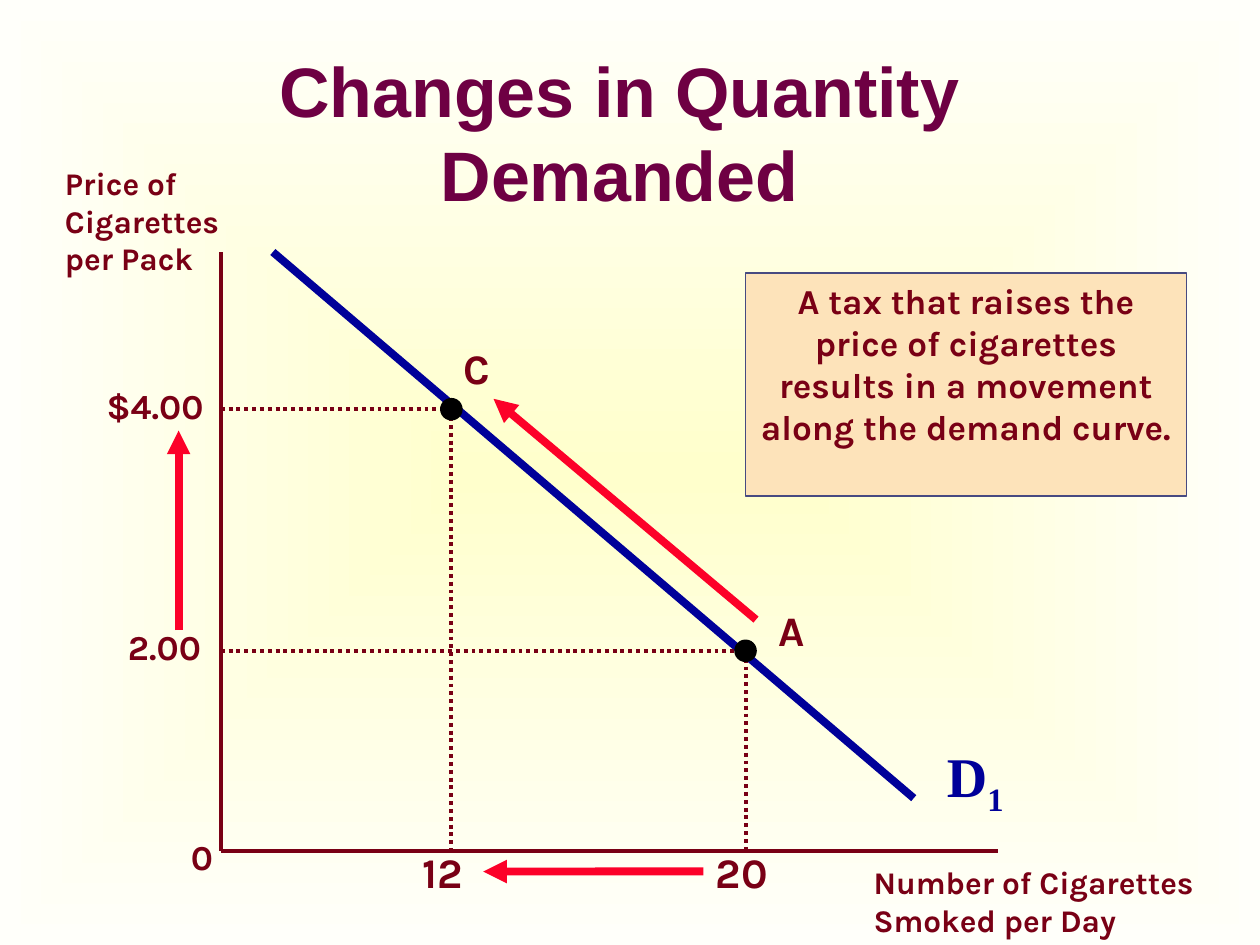
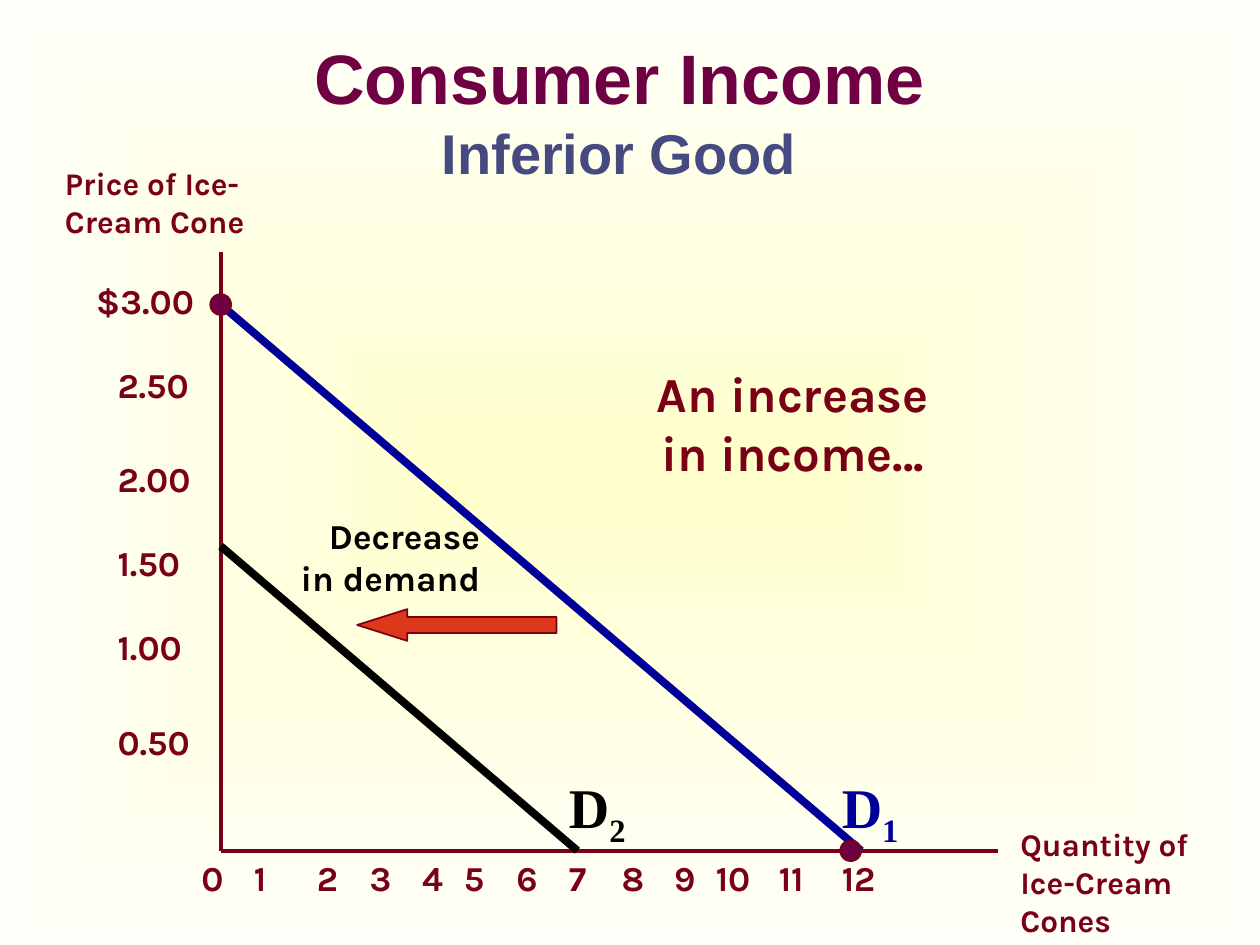
from pptx import Presentation
from pptx.dml.color import RGBColor as RGB
from pptx.enum.dml import MSO_LINE_DASH_STYLE as DASH
from pptx.enum.shapes import MSO_CONNECTOR as CONN, MSO_SHAPE as SHAPE
from pptx.enum.text import MSO_ANCHOR as ANCHOR, PP_ALIGN as ALIGN
from pptx.oxml import parse_xml
from pptx.oxml.ns import nsdecls, qn
from pptx.util import Cm, Pt

COLORS = {
    "title": "6E0043", "subtitle": "474A81", "maroon": "790015",
    "curve": "000099", "black": "000000", "red": "FC0128",
    "arrow": "DE381C", "note": "FDE3BA",
    "center": "FFFFCC", "edge": "FFFFFA",
}
C = {name: RGB.from_string(value) for name, value in COLORS.items()}

# Shared chart frame, in cm
LEFT, RIGHT, TOP, BASE = 4.45, 20.11, 5.08, 17.15
DOT = 0.42


def add_text(s, text, x, y, w, h, size=20, color="maroon", font="Karla",
             align=ALIGN.LEFT):
    """Add a bold text box; each line of text becomes a paragraph."""
    sp = s.shapes.add_textbox(Cm(x), Cm(y), Cm(w), Cm(h))
    tf = sp.text_frame
    tf.word_wrap = True
    for i, line in enumerate(text.split("\n")):
        p = tf.add_paragraph() if i else tf.paragraphs[0]
        p.alignment = align
        r = p.add_run()
        r.text = line
        r.font.name, r.font.size, r.font.bold = font, Pt(size), True
        r.font.color.rgb = C[color]
    return sp


def add_line(s, x1, y1, x2, y2, color="maroon", width=2.25, dash=None, arrow=False):
    line = s.shapes.add_connector(CONN.STRAIGHT, Cm(x1), Cm(y1), Cm(x2), Cm(y2))
    line.line.color.rgb = C[color]
    line.line.width = Pt(width)
    if dash:
        line.line.dash_style = dash
    if arrow:
        line.line._get_or_add_ln().append(
            parse_xml(f'<a:tailEnd {nsdecls("a")} type="triangle"/>'))
    line._element.spPr.append(parse_xml(f'<a:effectLst {nsdecls("a")}/>'))
    return line


prs = Presentation()
prs.slide_width, prs.slide_height = Cm(25.4), Cm(19.05)

# Background, title and axes of both slides
slides = []
for title, title_y, y_name, x_name, x_name_box in [
    ("Changes in Quantity Demanded", 1.06, "Price of Cigarettes per Pack",
     "Number of Cigarettes Smoked per Day", (17.36, 17.27, 8.04, 1.78)),
    ("Consumer Income\nInferior Good", 0.64, "Price of Ice-Cream Cone",
     "Quantity of Ice-Cream Cones", (20.32, 16.51, 4.23, 2.54)),
]:
    s = prs.slides.add_slide(prs.slide_layouts[6])
    slides.append(s)
    fill = s.background.fill
    fill.gradient()
    for stop, name in zip(fill.gradient_stops, ("center", "edge")):
        stop.color.rgb = C[name]
    grad = s._element.find(".//" + qn("a:gradFill"))
    grad.remove(grad.find(qn("a:lin")))
    grad.append(parse_xml(
        f'<a:path {nsdecls("a")} path="rect">'
        '<a:fillToRect l="50000" t="50000" r="50000" b="50000"/></a:path>'))

    heading = add_text(s, title, 1.69, title_y, 21.59, 3.18, 40, "title", "Arial",
                       ALIGN.CENTER)
    heading.text_frame.vertical_anchor = ANCHOR.MIDDLE
    for p in heading.text_frame.paragraphs[1:]:
        p.runs[0].font.size = Pt(32)
        p.runs[0].font.color.rgb = C["subtitle"]

    add_line(s, LEFT, TOP, LEFT, BASE)
    add_line(s, LEFT, BASE, RIGHT, BASE)
    add_text(s, y_name, 1.06, 3.18, 4.23, 2.54, 18)
    add_text(s, x_name, *x_name_box, 18)

tax, income = slides

# Demand curves and their names
for s, ends, number, label_x, label_y, color in [
    (tax, (5.5, TOP, 18.42, 16.09), "1", 18.84, 14.82, "curve"),
    (income, (LEFT, 6.14, 17.36, BASE), "1", 16.72, 15.45, "curve"),
    (income, (LEFT, 11.01, 11.64, BASE), "2", 11.22, 15.45, "black"),
]:
    add_line(s, *ends, color, 4.5)
    sp = add_text(s, "D", label_x, label_y, 2.12, 1.8, 32, color, "Times New Roman")
    r = sp.text_frame.paragraphs[0].add_run()
    r.text = number
    r.font.name, r.font.size, r.font.bold = "Times New Roman", Pt(32), True
    r.font.color.rgb = C[color]
    r._r.get_or_add_rPr().set("baseline", "-25000")

# Dotted guides from points C and A to the axes
point_c, point_a = (9.1, 8.25), (15.03, 13.12)
for x, y in (point_c, point_a):
    add_line(tax, LEFT, y, x, y, dash=DASH.ROUND_DOT)
    add_line(tax, x, y, x, BASE, dash=DASH.ROUND_DOT)

# Points on the curves
for s, (x, y), color, outline in [
    (tax, point_c, "black", "black"),
    (tax, point_a, "black", "black"),
    (income, (17.15, BASE), "title", "maroon"),
    (income, (LEFT, 6.14), "title", "maroon"),
]:
    dot = s.shapes.add_shape(SHAPE.OVAL, Cm(x - DOT / 2), Cm(y - DOT / 2),
                             Cm(DOT), Cm(DOT))
    dot.shadow.inherit = False
    dot.fill.solid()
    dot.fill.fore_color.rgb = C[color]
    dot.line.color.rgb = C[outline]
    dot.line.width = Pt(1)

# Slide 1: labels, movement arrows and note
add_text(tax, "0", 3.6, 16.72, 2.12, 1.12)
add_text(tax, "$4.00", 1.9, 7.62, 2.54, 1.12)
add_text(tax, "2.00", 2.33, 12.49, 2.54, 1.12)
add_text(tax, "C", 9.1, 6.77, 1.48, 1.27, 24)
add_text(tax, "A", 15.45, 12.06, 1.2, 1.27, 24)
add_text(tax, "12", 8.26, 16.93, 1.9, 1.27, 24)
twenty = add_text(tax, "20", 14.18, 16.93, 1.9, 1.27, 24)

add_line(tax, 15.24, 12.49, 9.95, 8.04, "red", 4.5, arrow=True)
add_line(tax, 3.6, 12.7, 3.6, 8.68, "red", 4.5, arrow=True)
quantity_fall = add_line(tax, 14.18, 17.57, 9.74, 17.57, "red", 4.5, arrow=True)
quantity_fall.begin_connect(twenty, 1)

note = add_text(
    tax, "A tax that raises the price of cigarettes results in a movement "
    "along the demand curve.", 15.03, 5.5, 8.89, 4.5, align=ALIGN.CENTER)
note.fill.solid()
note.fill.fore_color.rgb = C["note"]
note.line.color.rgb = C["subtitle"]
note.line.width = Pt(1)

# Slide 2: scales, captions and shift arrow
add_text(income, "$3.00", 1.69, 5.5, 2.54, 1.12)
for price, y in [("2.50", 7.2), ("2.00", 9.1), ("1.50", 10.8),
                 ("1.00", 12.49), ("0.50", 14.39)]:
    add_text(income, price, 2.12, y, 2.12, 1.12)

tick_lefts = [3.81, 4.87, 6.14, 7.2, 8.26, 9.1, 10.16, 11.22, 12.28, 13.34,
              14.18, 15.45, 16.72]
for quantity, x in enumerate(tick_lefts):
    add_text(income, str(quantity), x, BASE, 1.48, 1.12)

add_text(income, "An increase in income...", 12.7, 7.2, 6.56, 2.64, 28,
         align=ALIGN.CENTER)
caption = add_text(income, "Decrease\nin demand", 5.92, 10.37, 3.76, 1.7, 20,
                   "black", align=ALIGN.RIGHT)
tf = caption.text_frame
tf.margin_left = tf.margin_right = tf.margin_top = tf.margin_bottom = 0

shift = income.shapes.add_shape(SHAPE.LEFT_ARROW, Cm(7.2), Cm(12.28),
                                Cm(4.02), Cm(0.64))
shift.shadow.inherit = False
shift.adjustments[0], shift.adjustments[1] = 0.5, 1.58
shift.fill.solid()
shift.fill.fore_color.rgb = C["arrow"]
shift.line.color.rgb = C["maroon"]
shift.line.width = Pt(1)

prs.save("out.pptx")
